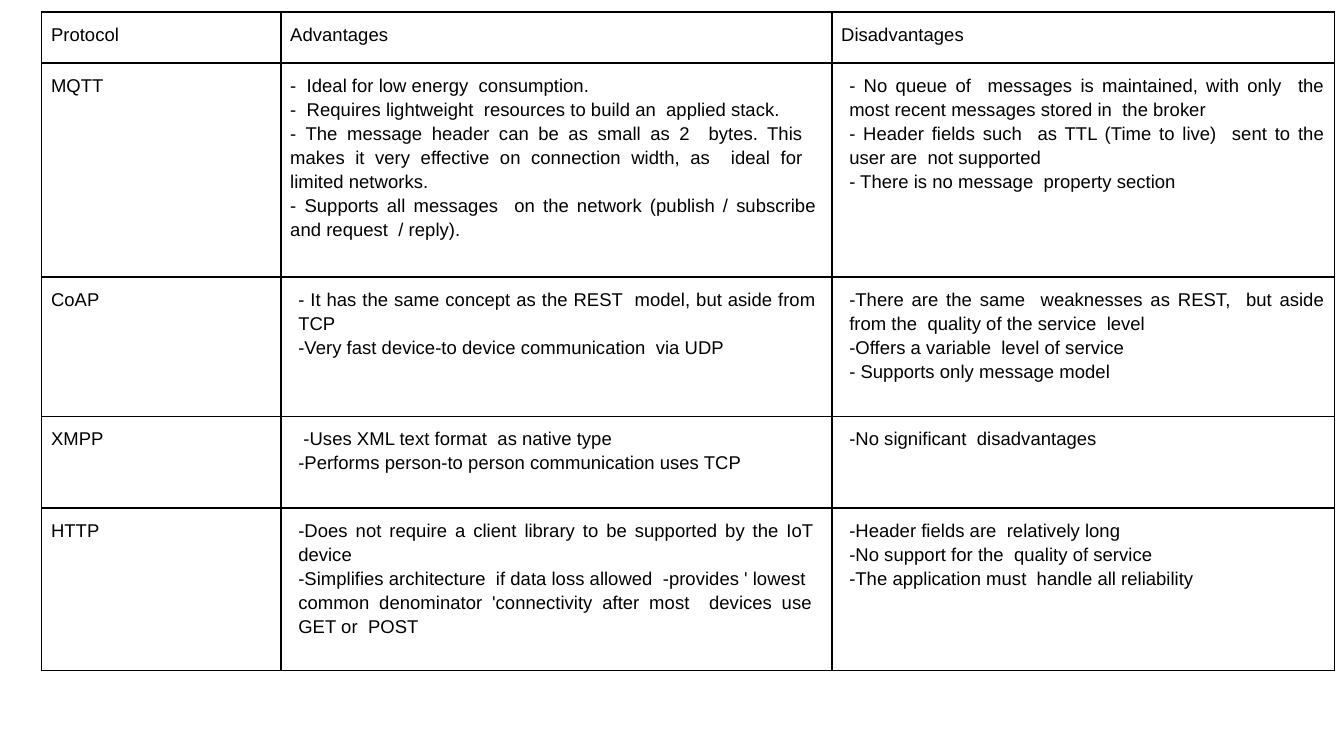
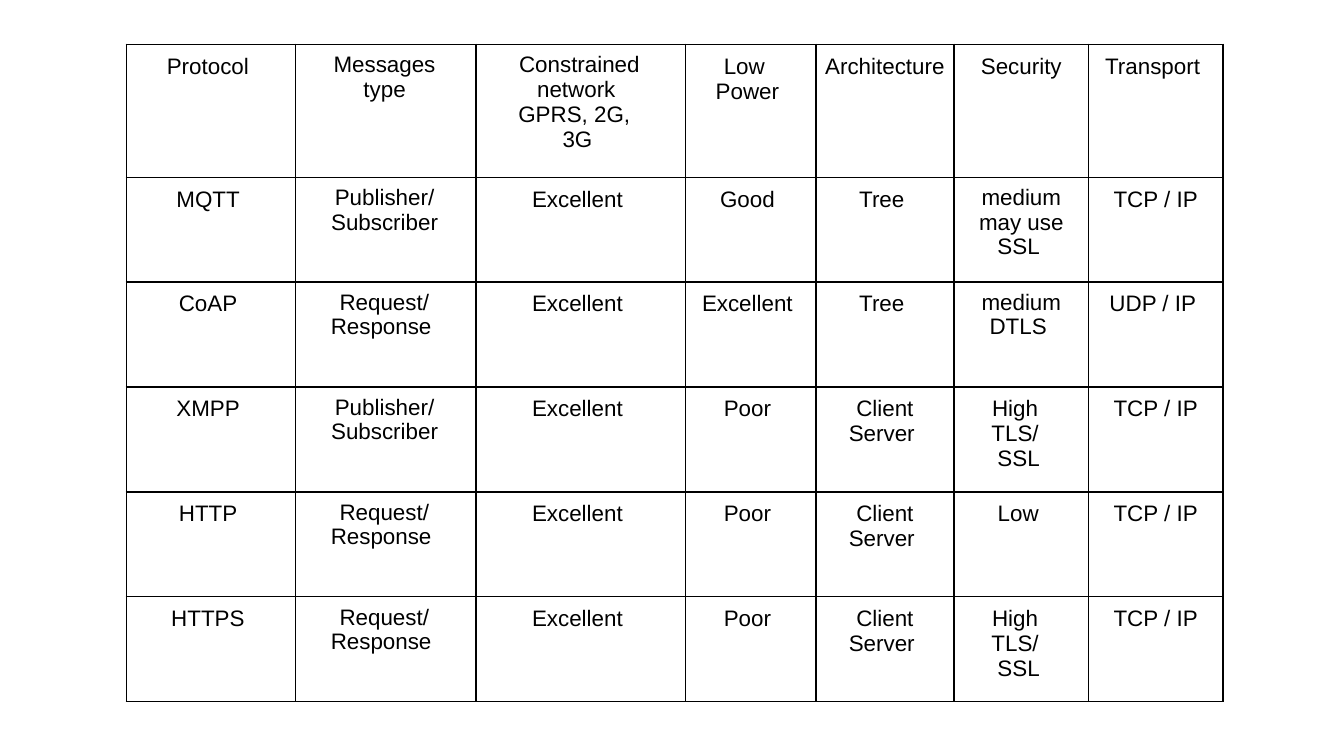
from lxml import etree
from pptx import Presentation
from pptx.dml.color import RGBColor
from pptx.enum.text import PP_ALIGN
from pptx.oxml.ns import qn
from pptx.util import Inches, Pt

BLACK = RGBColor(0x00, 0x00, 0x00)
WHITE = RGBColor(0xFF, 0xFF, 0xFF)
FONT = "Arial"
CELL_MARGIN = Inches(0.07)
BORDER = Pt(1)
JUSTIFY, CENTER = PP_ALIGN.JUSTIFY, PP_ALIGN.CENTER


def indented(left, *texts, right=0):
    """Paragraphs that share left and right indents in inches."""
    return [(text, left, right) for text in texts]


# A cell is a string or a list of paragraphs;
# a paragraph is a string or (text, left indent, right indent).
PROS_CONS = [
    ["Protocol ", "Advantages ", "Disadvantages "],
    ["MQTT ",
     ["-  Ideal for low energy  consumption.",
      "-  Requires lightweight  resources to build an  applied stack.",
      ("- The message header can be as small as 2  bytes. This makes it very "
       "effective on connection width, as  ideal for limited networks.", 0, 0.14),
      ("- Supports all messages  on the network (publish / subscribe and "
       "request  / reply).", 0, 0.04)],
     indented(0.06,
              "- No queue of  messages is maintained, with only  the most recent "
              "messages stored in  the broker",
              "- Header fields such  as TTL (Time to live)  sent to the user are  "
              "not supported",
              "- There is no message  property section")],
    ["CoAP ",
     indented(0.06,
              "- It has the same concept as the REST  model, but aside from  TCP  ",
              "-Very fast device-to device communication  via UDP "),
     indented(0.06,
              "-There are the same  weaknesses as REST,  but aside from the  "
              "quality of the service  level",
              "-Offers a variable  level of service ",
              "- Supports only message model ")],
    ["XMPP ",
     indented(0.06,
              " -Uses XML text format  as native type  ",
              "-Performs person-to person communication uses TCP "),
     indented(0.06, "-No significant  disadvantages ")],
    ["HTTP ",
     indented(0.06,
              "-Does not require a client library to be supported by the IoT  device  ",
              "-Simplifies architecture  if data loss allowed  -provides ' lowest  ")
     + indented(0.06,
                "common denominator 'connectivity after most  devices use GET or  POST ",
                right=0.07),
     indented(0.06,
              "-Header fields are  relatively long  ",
              "-No support for the  quality of service  ",
              "-The application must  handle all reliability ")],
]

PUBLISH = indented(0.09, "Publisher/  Subscriber ", right=0.06)
REQUEST = indented(0.06, "Request/", "Response ", right=0.08)
HIGH = ["High  ", "TLS/  ", "SSL "]
CLIENT = "Client Server "
GREAT = "Excellent "
TCP = "TCP / IP"
FEATURES = [
    ["Protocol ", indented(0.11, "Messages  type ", right=0.08),
     indented(0.11, "Constrained  network  ", right=0.08) + ["GPRS, 2G,  ", "3G "],
     ["Low  ", "Power "], "Architecture", "Security", "Transport "],
    ["MQTT ", PUBLISH, GREAT, "Good ", "Tree ",
     indented(0.06, "medium may use SSL ", right=0.06), TCP],
    ["CoAP ", REQUEST, GREAT, GREAT, "Tree ",
     indented(0.06, "medium DTLS ", right=0.06), "UDP / IP "],
    ["XMPP ", PUBLISH, GREAT, "Poor ", CLIENT, HIGH, TCP],
    ["HTTP ", REQUEST, GREAT, "Poor ", CLIENT, "Low ", TCP],
    ["HTTPS ", REQUEST, GREAT, "Poor ", CLIENT, HIGH, TCP],
]

# line_spacing holds the values for plain and for indented paragraphs
TABLES = [
    dict(rows=PROS_CONS, left=0.31, top=0.09, widths=[1.78, 4.1, 3.74],
         heights=[0.38, 1.59, 1.04, 0.68, 1.21],
         size=9.96, align=JUSTIFY, line_spacing=(1.15, 1.15)),
    dict(rows=FEATURES, left=0.94, top=0.33,
         widths=[1.26, 1.34, 1.56, 0.97, 1.03, 1, 1],
         heights=[0.99] + [0.78] * 5,
         size=11.96, align=CENTER, line_spacing=(1.0, 0.96)),
]


def add_borders(cell):
    tcPr = cell._tc.get_or_add_tcPr()
    for i, side in enumerate(("lnL", "lnR", "lnT", "lnB")):
        ln = etree.Element(qn(f"a:{side}"), w=str(BORDER))
        fill = etree.SubElement(ln, qn("a:solidFill"))
        etree.SubElement(fill, qn("a:srgbClr"), val=str(BLACK))
        tcPr.insert(i, ln)


def fill_cell(cell, content, size, align, line_spacing):
    cell.margin_left = cell.margin_right = CELL_MARGIN
    cell.margin_top = cell.margin_bottom = CELL_MARGIN
    cell.fill.background()
    add_borders(cell)
    tf = cell.text_frame
    paragraphs = [content] if isinstance(content, str) else content
    for i, item in enumerate(paragraphs):
        text, left, right = (item, 0, 0) if isinstance(item, str) else item
        p = tf.add_paragraph() if i else tf.paragraphs[0]
        p.text = text
        p.alignment = align
        p.line_spacing = line_spacing[1 if left else 0]
        p.font.name, p.font.size = FONT, Pt(size)
        p.font.color.rgb = BLACK
        pPr = p._p.get_or_add_pPr()
        pPr.set("marL", str(Inches(left)))
        pPr.set("marR", str(Inches(right)))
        pPr.set("indent", "0")


def add_grid(slide, rows, left, top, widths, heights, **text_style):
    table = slide.shapes.add_table(
        len(rows), len(widths), Inches(left), Inches(top),
        Inches(sum(widths)), Inches(sum(heights))).table
    table.first_row = table.horz_banding = False
    for column, width in zip(table.columns, widths):
        column.width = Inches(width)
    for r, (row, height) in enumerate(zip(rows, heights)):
        table.rows[r].height = Inches(height)
        for c, content in enumerate(row):
            fill_cell(table.cell(r, c), content, **text_style)


def main():
    prs = Presentation()
    prs.slide_width = Inches(10)
    prs.slide_height = prs.slide_width * 9 // 16
    for grid in TABLES:
        slide = prs.slides.add_slide(prs.slide_layouts[6])
        slide.background.fill.solid()
        slide.background.fill.fore_color.rgb = WHITE
        add_grid(slide, **grid)
    prs.save("out.pptx")


if __name__ == "__main__":
    main()
